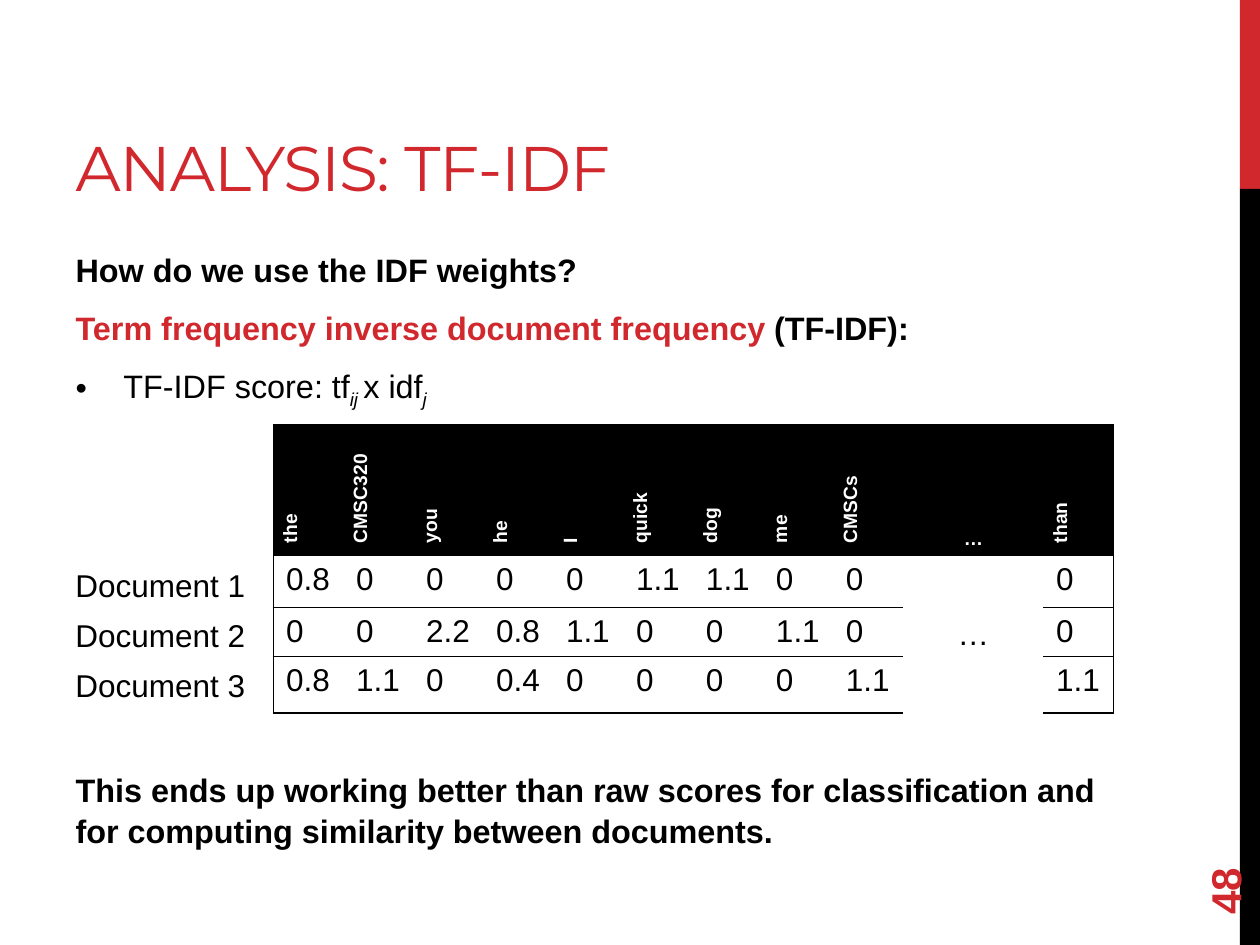
import lxml.etree
import pptx
import pptx.dml.color
import pptx.enum.shapes
import pptx.enum.text
import pptx.oxml
import pptx.oxml.ns
import pptx.util

THEME = {
    "red": "D1282E", "black": "000000", "white": "FFFFFF",
    "heading_font": "Montserrat", "text_font": "Arial",
    "title": 36, "body": 18.5, "number": 24, "cell": 18, "header": 11,
}
Anchor = pptx.enum.text.MSO_ANCHOR
Align = pptx.enum.text.PP_ALIGN
inch = pptx.util.Inches
qn = pptx.oxml.ns.qn


def rgb(name):
    return pptx.dml.color.RGBColor.from_string(THEME[name])


def write(paragraph, text, size="body", color="black", font="text_font",
          bold=False, italic=False, align=Align.LEFT, **attributes):
    """Add a formatted run; attributes go straight to its run properties."""
    paragraph.alignment = align
    run = paragraph.add_run()
    run.text = text
    run.font.size = pptx.util.Pt(THEME[size])
    run.font.name = THEME[font]
    run.font.color.rgb = rgb(color)
    run.font.bold, run.font.italic = bold, italic
    for key, value in attributes.items():
        run.font._element.set(key, value)


deck = pptx.Presentation()
deck.slide_width, deck.slide_height = inch(10), inch(7.5)
slide = deck.slides.add_slide(deck.slide_layouts[1])
left = inch(0.5)

# Side band: the top fifth is red, the rest black
band_left = inch(9.84)
fifth = deck.slide_height // 5
for color, top, height in (("red", 0, fifth), ("black", fifth, 4 * fifth)):
    band = slide.shapes.add_shape(pptx.enum.shapes.MSO_SHAPE.RECTANGLE, band_left, top,
                                  deck.slide_width - band_left, height)
    band.shadow.inherit = False
    band.fill.solid()
    band.fill.fore_color.rgb = rgb(color)
    band.line.fill.background()

# Title
title = slide.shapes.title
title.left, title.top, title.width, title.height = left, inch(0.17), inch(6.33), inch(1.5)
title.text_frame.vertical_anchor = Anchor.BOTTOM
title.text_frame.auto_size = pptx.enum.text.MSO_AUTO_SIZE.NONE
write(title.text_frame.paragraphs[0], "ANALYSIS: TF-IDF", size="title", color="red",
      font="heading_font", spc="-60")

# Body: the last paragraph leaves room for the table above it
body = slide.placeholders[1]
body.left, body.top, body.width, body.height = left, inch(1.92), inch(8.33), inch(4.78)
body.text_frame.auto_size = pptx.enum.text.MSO_AUTO_SIZE.NONE
body.text_frame.vertical_anchor = Anchor.TOP
subscript = {"italic": True, "baseline": "-25000"}
statements = [
    (0, None, [("How do we use the IDF weights?", {"bold": True})]),
    (3.7, None, [("Term frequency inverse document frequency", {"bold": True, "color": "red"}),
                 (" (TF-IDF):", {"bold": True})]),
    (3.7, "•", [("TF-IDF score: tf", {}), ("ij ", subscript), ("x idf", {}), ("j", subscript)]),
    (198.5, None, [("This ends up working better than raw scores for classification and "
                    "for computing similarity between documents.", {"bold": True})]),
]
for index, (space, bullet, parts) in enumerate(statements):
    statement = body.text_frame.paragraphs[0] if index == 0 else body.text_frame.add_paragraph()
    properties = statement._p.get_or_add_pPr()
    indent = inch(0.38) if bullet else 0
    properties.set("marL", str(indent))
    properties.set("indent", str(-indent))
    if bullet:
        lxml.etree.SubElement(properties, qn("a:buChar")).set("char", bullet)
    else:
        lxml.etree.SubElement(properties, qn("a:buNone"))
    statement.space_before = pptx.util.Pt(space)
    statement.space_after = pptx.util.Pt(6)
    statement.line_spacing = 1.05
    for text, style in parts:
        write(statement, text, **style)

# TF-IDF table: twelve equal units, the ellipsis column takes two
terms = ["the", "CMSC320", "you", "he", "I", "quick", "dog", "me", "CMSCs", "…", "than"]
scores = [
    ["0.8", "0", "0", "0", "0", "1.1", "1.1", "0", "0", "…", "0"],
    ["0", "0", "2.2", "0.8", "1.1", "0", "0", "1.1", "0", "", "0"],
    ["0.8", "1.1", "0", "0.4", "0", "0", "0", "0", "1.1", "", "1.1"],
]
rows = [terms] + scores
gap = terms.index("…")
last_row, last_column = len(scores), len(terms) - 1
table_width = inch(6.67)
unit = table_width // (len(terms) + 1)
table = slide.shapes.add_table(len(rows), len(terms), inch(2.17), inch(3.37),
                               table_width, inch(2.29)).table
table.horz_banding = table.first_row = False
NO_STYLE_NO_GRID = "{2D5ABB26-0587-4C30-8999-92F81FD0307C}"
table._tbl.tblPr.find(qn("a:tableStyleId")).text = NO_STYLE_NO_GRID
for index, column in enumerate(table.columns):
    column.width = unit * (2 if index == gap else 1)
for row, height in zip(table.rows, (1.04, 0.41, 0.39, 0.45)):
    row.height = inch(height)
table.cell(1, gap).merge(table.cell(last_row, gap))

for r, values in enumerate(rows):
    for c, value in enumerate(values):
        cell = table.cell(r, c)
        header = r == 0
        cell_properties = cell._tc.get_or_add_tcPr()
        borders = {
            "a:lnL": c == 0,
            "a:lnR": c == last_column,
            "a:lnT": r <= 1 or c != gap,
            "a:lnB": r in (0, last_row) or c != gap,
        }
        for side, visible in borders.items():
            line = lxml.etree.SubElement(cell_properties, qn(side))
            line.set("w", str(pptx.util.Pt(1)))
            if visible:
                fill = lxml.etree.SubElement(line, qn("a:solidFill"))
                lxml.etree.SubElement(fill, qn("a:srgbClr")).set("val", THEME["black"])
            else:
                lxml.etree.SubElement(line, qn("a:noFill"))
        if header:
            cell.fill.solid()
            cell.fill.fore_color.rgb = rgb("black")
        else:
            cell.fill.background()
        if c == gap:
            cell.vertical_anchor = Anchor.BOTTOM if header else Anchor.MIDDLE
        elif header:
            cell_properties.set("vert", "vert270")
        if value:
            write(cell.text_frame.paragraphs[0], value, size="header" if header else "cell",
                  color="white" if header else "black", bold=header,
                  align=Align.CENTER if c == gap else Align.LEFT)

# Row labels, one every 0.4 inches
label_height = inch(0.4)
for index in range(len(scores)):
    label = slide.shapes.add_textbox(left, inch(4.44) + index * label_height,
                                     inch(1.59), label_height)
    label.text_frame.word_wrap = True
    write(label.text_frame.paragraphs[0], f"Document {index + 1}", size="cell")

# Slide number, reading upwards beside the band
number = slide.shapes.add_textbox(inch(9), inch(6.44), inch(1.44), inch(0.4))
number.rotation = 270
number.text_frame.word_wrap = True
number.text_frame.vertical_anchor = Anchor.MIDDLE
write(number.text_frame.paragraphs[0], "48", size="number", color="red", bold=True)

deck.save("out.pptx")
